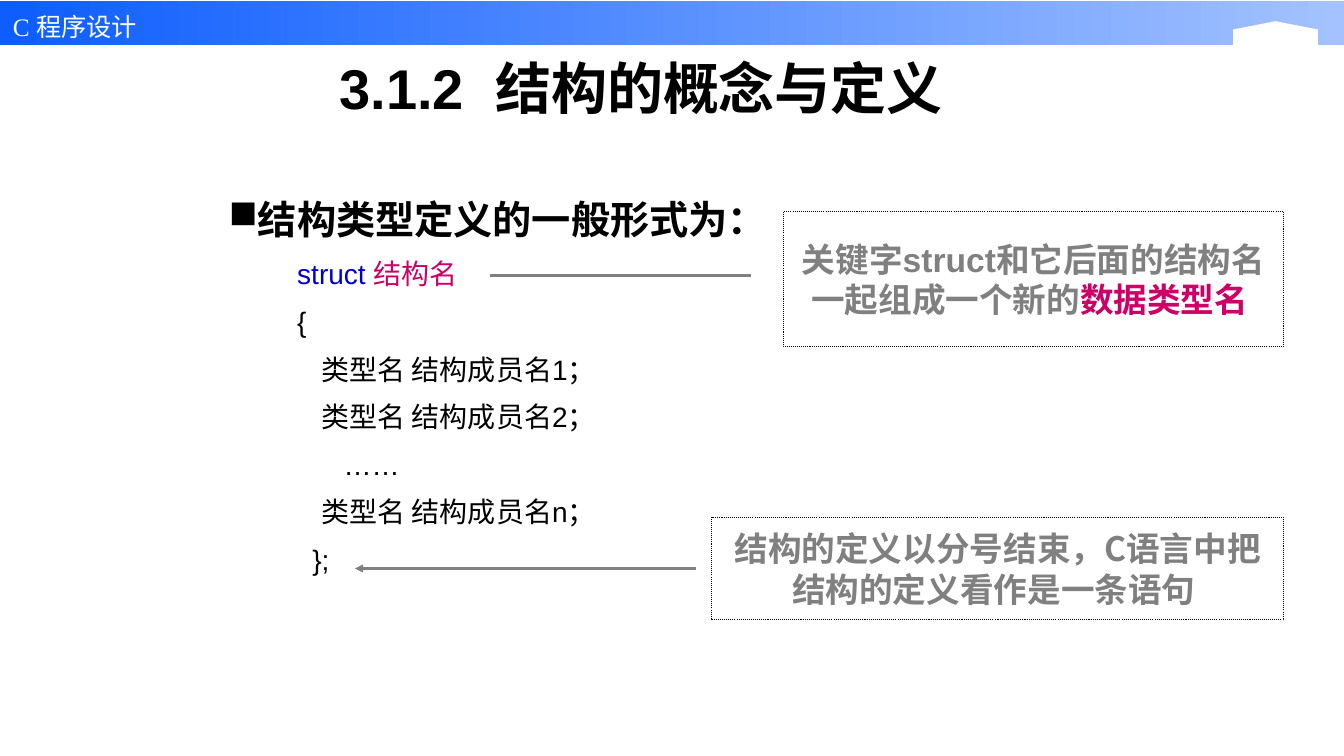
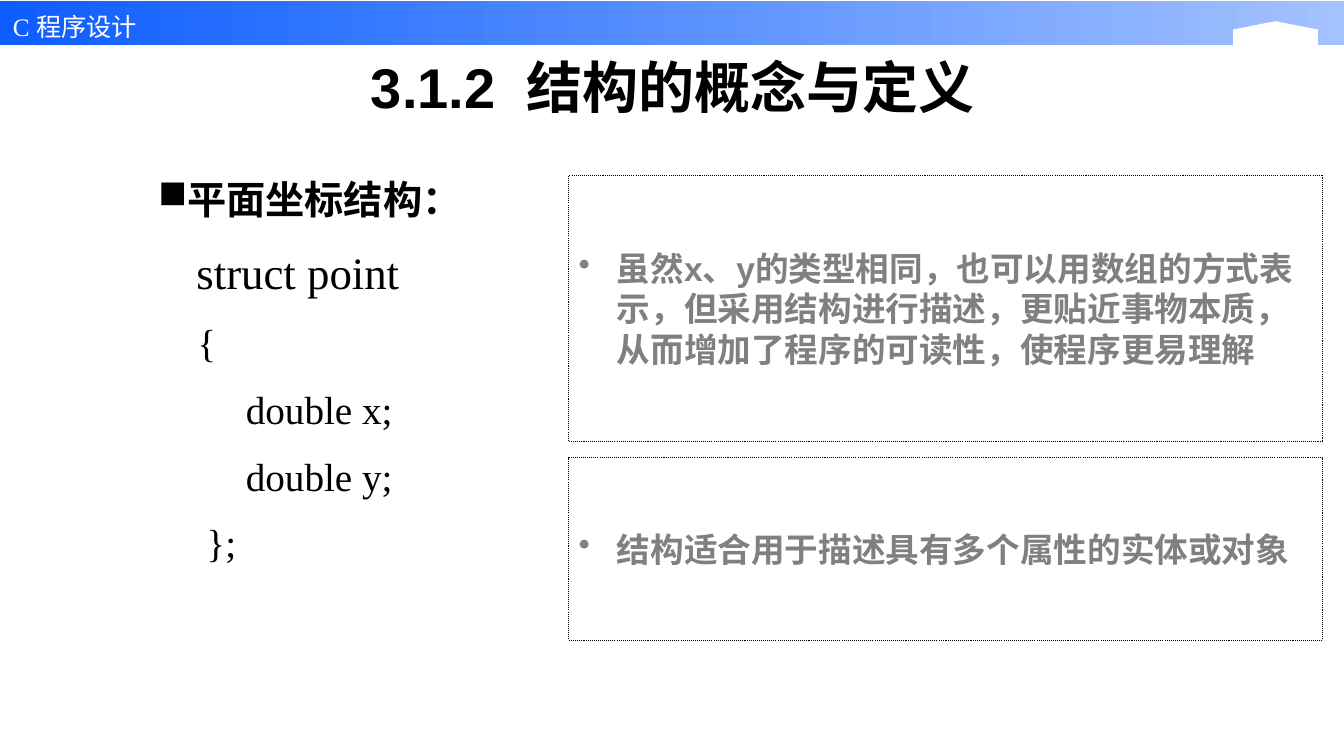
import pptx
import pptx.util
import pptx.dml.color
import pptx.enum.dml
import pptx.enum.shapes
import pptx.enum.text
import pptx.oxml.ns
from lxml import etree

Inches = pptx.util.Inches
Pt = pptx.util.Pt
RGBColor = pptx.dml.color.RGBColor
Shape = pptx.enum.shapes.MSO_SHAPE
Align = pptx.enum.text.PP_ALIGN
Anchor = pptx.enum.text.MSO_ANCHOR

BLUE = RGBColor(0x0D, 0x5D, 0xFF)
PALE_BLUE = RGBColor(0xA3, 0xC2, 0xFF)
WHITE = RGBColor(0xFF, 0xFF, 0xFF)
BLACK = RGBColor(0x00, 0x00, 0x00)
GREY = RGBColor(0x80, 0x80, 0x80)
NAVY = RGBColor(0x00, 0x00, 0xCC)
MAGENTA = RGBColor(0xCC, 0x00, 0x66)

SANS = "Arial"
SERIF = "Times New Roman"
CHINESE = "Noto Sans CJK SC"

SLIDE_WIDTH = 13.33
BODY_HEIGHT = 5.35
HANGING = 0.28


def add_element(parent, tag, **attributes):
    return etree.SubElement(parent, pptx.oxml.ns.qn(tag), attributes)


def format_span(span, font, size, color, bold=False):
    span.font.name = font
    span.font.size = Pt(size)
    span.font.bold = bold
    span.font.color.rgb = color
    add_element(span.font._element, "a:ea", typeface=CHINESE)


def write_spans(para, spans, font, size, bold=False):
    for text, color in spans:
        span = para.add_run()
        span.text = text
        format_span(span, font, size, color, bold)


def set_indent(para, left, first=0):
    properties = para._p.get_or_add_pPr()
    properties.set("marL", str(Inches(left)))
    properties.set("indent", str(Inches(first)))
    return properties


def set_bullet(para, left, character):
    add_element(set_indent(para, left, -left), "a:buChar", char=character)


def add_text_box(page, left, top, width, height):
    box = page.shapes.add_textbox(Inches(left), Inches(top), Inches(width), Inches(height))
    box.text_frame.word_wrap = True
    return box.text_frame


def add_plain_shape(page, kind, left, top, width, height):
    shape = page.shapes.add_shape(kind, Inches(left), Inches(top), Inches(width), Inches(height))
    shape.shadow.inherit = False
    shape.line.fill.background()
    shape.fill.solid()
    shape.fill.fore_color.rgb = WHITE
    return shape


def add_header(page):
    band = add_plain_shape(page, Shape.RECTANGLE, 0, 0.01, SLIDE_WIDTH, 0.44)
    band.fill.gradient()
    band.fill.gradient_angle = 0
    for stop, color in zip(band.fill.gradient_stops, (BLUE, PALE_BLUE)):
        stop.color.rgb = color
    tab = add_plain_shape(page, Shape.FLOWCHART_OFFPAGE_CONNECTOR, 12.23, 0.21, 0.84, 0.41)
    tab.rotation = 180
    para = add_text_box(page, 0.03, 0, 4.64, 0.43).paragraphs[0]
    write_spans(para, [("C 程序设计", WHITE)], SERIF, 18)
    para.line_spacing = 1.2


def add_title(page, left, top):
    frame = add_text_box(page, left, top, 7.1, 0.81)
    frame.vertical_anchor = Anchor.MIDDLE
    para = frame.paragraphs[0]
    para.alignment = Align.CENTER
    write_spans(para, [("3.1.2  结构的概念与定义", BLACK)], SANS, 40, True)


def add_code_body(page, left, top, width, heading, font, lines):
    frame = add_text_box(page, left, top, width, BODY_HEIGHT)
    para = frame.paragraphs[0]
    set_bullet(para, HANGING, "■")
    para.line_spacing = 0.9
    write_spans(para, [(heading, BLACK)], font, 28, True)
    for indent, size, spans in lines:
        para = frame.add_paragraph()
        properties = set_indent(para, indent)
        add_element(add_element(properties, "a:spcBef"), "a:spcPct", val="20000")
        para.line_spacing = 1.25
        write_spans(para, spans, font, size)


def add_note(page, left, top, width, height, spans, font=SANS, bullet=None):
    note = add_plain_shape(page, Shape.RECTANGLE, left, top, width, height)
    note.line.color.rgb = BLACK
    note.line.width = Pt(0.75)
    note.line.dash_style = pptx.enum.dml.MSO_LINE.ROUND_DOT
    frame = note.text_frame
    frame.word_wrap = True
    frame.vertical_anchor = Anchor.MIDDLE
    para = frame.paragraphs[0]
    para.alignment = Align.LEFT if bullet else Align.CENTER
    if bullet:
        set_bullet(para, 0.38, bullet)
    write_spans(para, spans, font, 24, True)


def add_pointer(page, start, end, y, width, arrow=False):
    pointer = page.shapes.add_connector(
        pptx.enum.shapes.MSO_CONNECTOR.STRAIGHT, Inches(start), Inches(y), Inches(end), Inches(y))
    pointer.line.color.rgb = GREY
    pointer.line.width = Pt(width)
    if arrow:
        add_element(pointer.line._get_or_add_ln(), "a:tailEnd", type="triangle")
    add_element(pointer._element.spPr, "a:effectLst")


def add_page(deck, title_left, title_top):
    page = deck.slides.add_slide(deck.slide_layouts[6])
    add_header(page)
    add_title(page, title_left, title_top)
    return page


def build_general_form(deck):
    page = add_page(deck, 2.81, 0.46)
    members = {name: (0.92, 20, [(f"类型名 结构成员名{name}；", BLACK)]) for name in "12n"}
    add_code_body(page, 2.17, 1.94, 9, "结构类型定义的一般形式为：", SANS, [
        (0.68, 20, [("struct ", NAVY), ("结构名", MAGENTA)]),
        (0.68, 20, [("{", BLACK)]),
        members["1"],
        members["2"],
        (1.14, 20, [("……", BLACK)]),
        members["n"],
        (0.83, 20, [("};", BLACK)]),
    ])
    add_note(page, 7.06, 5.13, 5.67, 1.02,
             [("结构的定义以分号结束，C语言中把结构的定义看作是一条语句 ", GREY)], CHINESE)
    add_pointer(page, 6.9, 3.52, 5.64, 1.5, arrow=True)
    add_note(page, 7.77, 2.1, 4.96, 1.34,
             [("关键字struct和它后面的结构名一起组成一个新的", GREY), ("数据类型名 ", MAGENTA)])
    add_pointer(page, 4.86, 7.45, 2.73, 2)


def build_point_example(deck):
    page = add_page(deck, 3.12, 0.45)
    add_code_body(page, 1.47, 1.74, 4.74, "平面坐标结构：", SERIF, [
        (0.38, 32, [("struct point", BLACK)]),
        (0.39, 28, [("{", BLACK)]),
        (0.87, 28, [("double x;", BLACK)]),
        (0.87, 28, [("double y;", BLACK)]),
        (0.48, 28, [("};", BLACK)]),
    ])
    notes = [
        (1.74, 2.64, "虽然x、y的类型相同，也可以用数组的方式表示，但采用结构进行描述，"
                     "更贴近事物本质，从而增加了程序的可读性，使程序更易理解"),
        (4.54, 1.81, "结构适合用于描述具有多个属性的实体或对象"),
    ]
    for top, height, text in notes:
        add_note(page, 5.64, top, 7.48, height, [(text, GREY)], bullet="•")


def main():
    deck = pptx.Presentation()
    deck.slide_width = Inches(SLIDE_WIDTH)
    deck.slide_height = Inches(7.5)
    build_general_form(deck)
    build_point_example(deck)
    deck.save("out.pptx")


if __name__ == "__main__":
    main()
